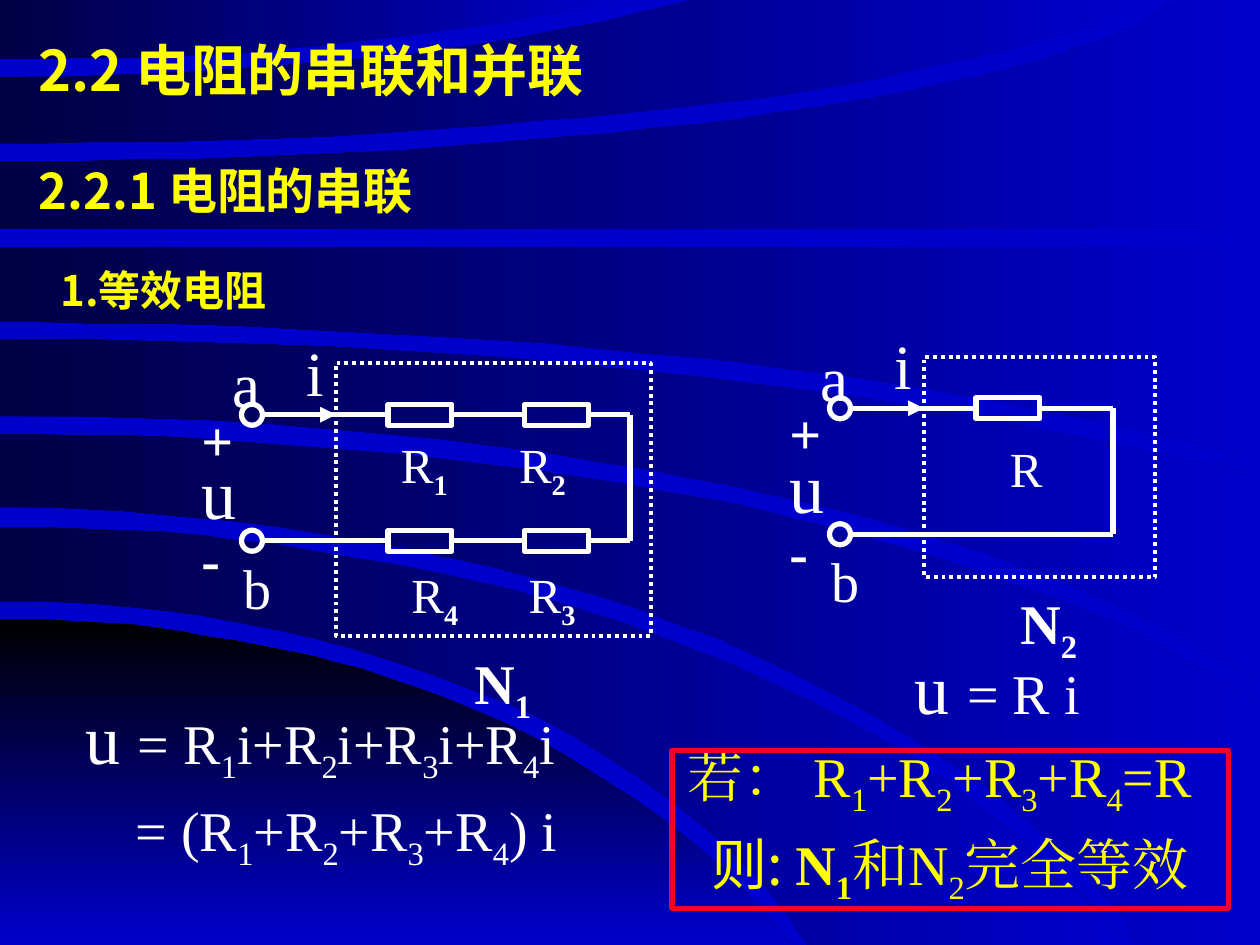
from pptx import Presentation
from pptx.dml.color import RGBColor
from pptx.enum.dml import MSO_LINE_DASH_STYLE as Dash
from pptx.enum.shapes import MSO_CONNECTOR as Conn, MSO_SHAPE as Shape
from pptx.enum.text import MSO_ANCHOR as Anchor, PP_ALIGN as Align
from pptx.oxml.ns import qn
from pptx.util import Pt
from lxml.etree import SubElement

COLORS = {"blue": "0000CC", "navy": "000044", "black": "000000",
          "white": "FFFFFF", "yellow": "FFFF00", "red": "F4002E"}
SERIF, SANS = "Times New Roman", "Noto Sans CJK SC"
W, H = 720, 540

BANDS = [
    ([(0, 353.5), (62, 356), (119, 363.5), (179, 375), (235, 392), (306, 422),
      (380, 469), (429, 513), (452, 540)],
     [(0, 540), (452, 540)], "black", 270),
    ([(0, 301), (94, 304.5), (179, 314.6), (275, 333), (340, 351), (404, 374),
      (464, 401), (523, 434), (577, 474), (621, 514), (643, 540)],
     [(0, 343.5), (76, 347), (159, 360), (246, 385), (327, 420), (398, 469),
      (435, 504), (462, 540)], "navy", 0),
    ([(0, 247.5), (104, 250.5), (208, 257.8), (307, 269), (410, 286.5),
      (499, 308), (589, 337), (651, 362), (720, 403)],
     [(0, 290), (70, 292), (159, 301), (259, 319), (347, 342.5), (430, 373.5),
      (518, 420), (583, 465), (637, 517), (654, 540), (720, 540)], "navy", 0),
    ([(0, 193.7), (121, 195.8), (251, 202), (377, 213), (477, 225),
      (588, 243.5), (720, 273)],
     [(0, 237.6), (120, 240.5), (253, 251), (369, 268.5), (461, 287),
      (563, 316), (656, 353.5), (720, 390)], "navy", 0),
    ([(0, 141), (720, 141)],
     [(0, 183.6), (134, 186.5), (280, 193.7), (397, 204.5), (505, 218),
      (623, 240), (720, 262)], "navy", 0),
    ([(0, 92), (113, 90.7), (206, 87), (302, 80), (399, 70.6), (492, 57),
      (578, 39), (642, 18), (676, 0), (720, 0)],
     [(0, 131), (720, 131)], "navy", 0),
    ([(0, 44), (87, 42.5), (192, 35.3), (276, 25), (347, 11.5), (395, 0)],
     [(0, 82), (127, 80), (245, 74), (363, 64), (467, 51), (556, 33),
      (615, 17), (657, 0)], "navy", 0),
    ([(0, 0), (355, 0)],
     [(0, 34), (99, 31.7), (182, 26), (287, 13), (355, 0)], "navy", 0),
]


def rgb(name):
    return RGBColor.from_string(COLORS[name])


def smooth(knots, steps=4):
    if len(knots) < 3:
        return knots
    ends = [knots[0]] + knots + [knots[-1]]
    points = []
    for a, b, c, d in zip(ends, ends[1:], ends[2:], ends[3:]):
        for t in (i / steps for i in range(steps)):
            points.append(tuple(
                q + t * (r - p) / 2 + t * t * (2 * p - 5 * q + 4 * r - v) / 2
                + t ** 3 * (3 * q - p - 3 * r + v) / 2
                for p, q, r, v in zip(a, b, c, d)))
    return points + [knots[-1]]


def band(s, upper, lower, start, angle):
    outline = smooth(upper) + smooth(lower)[::-1]
    builder = s.shapes.build_freeform(*outline[0], scale=Pt(1))
    builder.add_line_segments(outline[1:], close=True)
    sp = builder.convert_to_shape()
    sp.shadow.inherit = False
    sp.line.fill.background()
    sp.fill.gradient()
    sp.fill.gradient_angle = angle
    for stop, color, pos in zip(sp.fill.gradient_stops, (start, "blue"), (0, 1)):
        stop.color.rgb = rgb(color)
        stop.position = pos


def outline(s, kind, box, color="white", width=3, dash=None):
    sp = s.shapes.add_shape(kind, *map(Pt, box))
    sp.shadow.inherit = False
    sp.fill.background()
    sp.line.color.rgb = rgb(color)
    sp.line.width = Pt(width)
    if dash:
        sp.line.dash_style = dash


def wire(s, x1, y1, x2, y2, arrow=False):
    cx = s.shapes.add_connector(Conn.STRAIGHT, *map(Pt, (x1, y1, x2, y2)))
    cx.line.color.rgb = rgb("white")
    cx.line.width = Pt(3)
    if arrow:
        SubElement(cx.line._get_or_add_ln(), qn("a:tailEnd"), type="triangle")
    SubElement(cx._element.spPr, qn("a:effectLst"))


def add_run(p, text, font, color, sub=False, **fmt):
    r = p.add_run()
    r.text = text
    r.font.color.rgb = rgb(color)
    for key, value in {"name": font, **fmt}.items():
        setattr(r.font, key, value)
    rPr = r.font._element
    if sub:
        rPr.set("baseline", "-25000")
    SubElement(rPr, qn("a:ea"), typeface=font)


def write(p, markup, size, font=SERIF, color="white", bold=False, sub_bold=None):
    head, *rest = markup.split("_")
    pieces = [(head, False)]
    for part in rest:
        pieces += [(part[0], True), (part[1:], False)]
    for text, sub in pieces:
        if text:
            heavy = sub_bold if sub and sub_bold is not None else bold
            add_run(p, text, font, color, sub, size=Pt(size), bold=heavy)


def label(s, box, *runs, centred=False, **fmt):
    tf = s.shapes.add_textbox(*map(Pt, box)).text_frame
    tf.word_wrap = True
    p = tf.paragraphs[0]
    if centred:
        tf.vertical_anchor = Anchor.MIDDLE
        p.alignment = Align.CENTER
    for markup, size, *extra in runs:
        write(p, markup, size, **{**fmt, **(extra[0] if extra else {})})
    return tf


def circuit(s, x, y, frame_w, frame_h, end, rows):
    outline(s, Shape.RECTANGLE, (x + 84, y + 24.5, frame_w, frame_h),
            width=2.25, dash=Dash.ROUND_DOT)
    for row_y, centres in zip((y + 54, y + 126), rows):
        outline(s, Shape.OVAL, (x + 30, row_y - 6, 12, 12))
        start = x + 42
        for cx in centres:
            outline(s, Shape.RECTANGLE, (x + cx - 18.25, row_y - 6, 36.5, 12))
            wire(s, start, row_y, x + cx - 18.25, row_y)
            start = x + cx + 18.25
        wire(s, start, row_y, x + end, row_y)
    wire(s, x + end, y + 54, x + end, y + 126)
    wire(s, x + 48, y + 54, x + 84, y + 54, arrow=True)
    for text, size, dx, dy in (("a", 36, 18, 10.5), ("b", 32, 24, 129.5),
                               ("u", 40, 0, 70.5), ("i", 36, 60, 4)):
        label(s, (x + dx, y + dy, 48, 50), (text, size))
    tf = label(s, (x, y + 33.5, 48, 126), ("+", 32), bold=True)
    minus = tf.add_paragraph()
    minus.space_before = Pt(18)
    write(minus, "-", 32, bold=True)
    for p in tf.paragraphs:
        p.line_spacing = 1.3


def conclusion(s, x, y, w, h):
    label(s, (x - 12, y - 6, 330, 45), ("若： R_1+R_2+R_3+R_4=R", 32),
          color="yellow", centred=True)
    label(s, (x - 18, y + 44.5, 354, 45), ("则: ", 32, {"font": SANS}),
          ("N_1", 32, {"bold": True}), ("和N_2完全等效", 32),
          color="yellow", centred=True)
    outline(s, Shape.RECTANGLE, (x, y, w, h), color="red")


def main():
    prs = Presentation()
    prs.slide_width, prs.slide_height = Pt(W), Pt(H)
    s = prs.slides.add_slide(prs.slide_layouts[6])
    s.background.fill.solid()
    s.background.fill.fore_color.rgb = rgb("blue")
    for shape in BANDS:
        band(s, *shape)

    for text, size, x, y, w in (("2.2 电阻的串联和并联", 32, 15, 17, 682),
                                ("2.2.1 电阻的串联", 28, 15, 88, 378),
                                ("1.等效电阻", 24, 27.5, 147.5, 171)):
        label(s, (x, y, w, 45), (text, size), font=SANS, color="yellow", bold=True)

    circuit(s, 108, 183, 180, 156, 252, [(132, 210), (132, 210)])
    circuit(s, 444, 179.3, 132, 126, 192, [(132,), ()])
    for text, x, y in (("R_1", 222, 244.5), ("R_2", 289.5, 244.5),
                       ("R_4", 228, 319), ("R_3", 295, 319), ("R", 570, 247)):
        label(s, (x, y, 60, 41), (text, 28), sub_bold=True)
    for text, x, y in (("N_1", 264, 367), ("N_2", 576, 333)):
        label(s, (x, y, 72, 45), (text, 32), bold=True)

    label(s, (-6, 395, 378, 55), ("u ", 40), ("= R_1i+R_2i+R_3i+R_4i", 32),
          centred=True)
    label(s, (48, 454, 300, 45), ("= (R_1+R_2+R_3+R_4) i", 32), centred=True)
    label(s, (498, 365, 144, 55), ("u ", 40), ("= R i", 32), centred=True)
    conclusion(s, 384, 429, 318, 90)
    prs.save("out.pptx")


if __name__ == "__main__":
    main()
